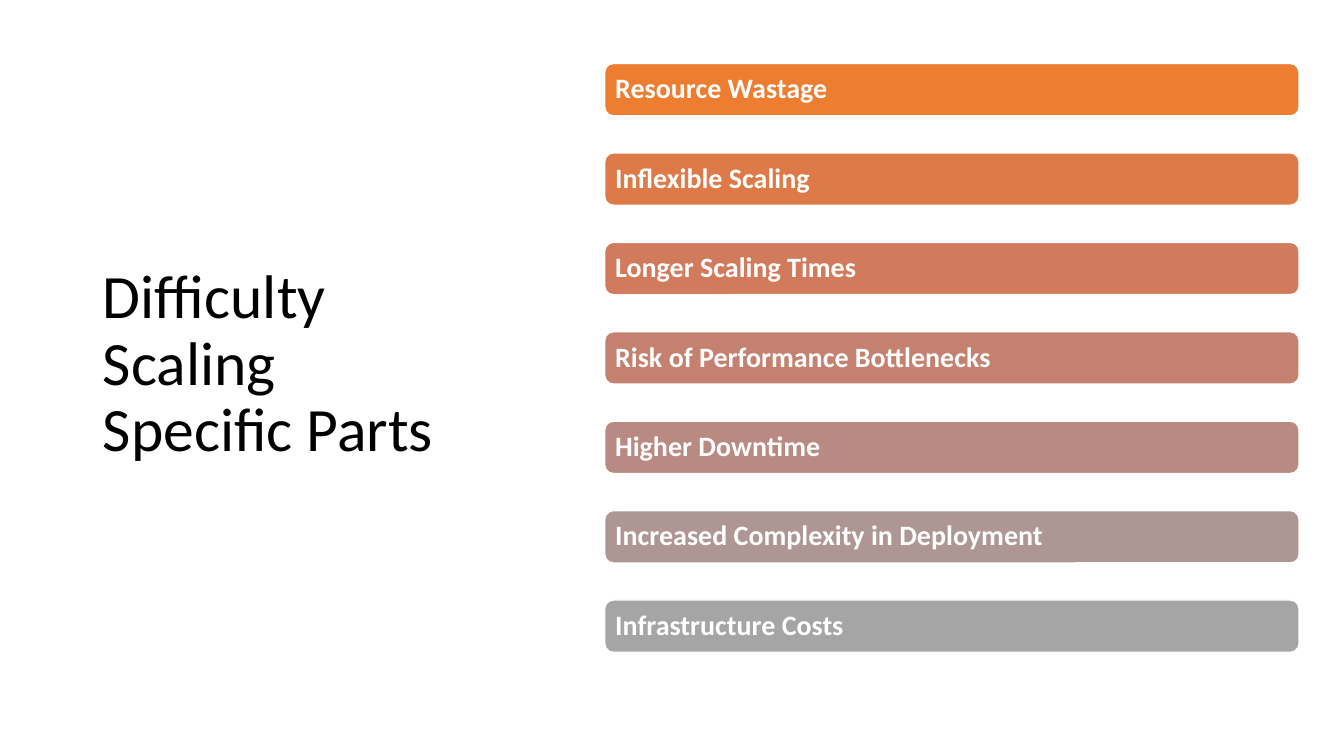
from pptx import Presentation
from pptx.dml.color import RGBColor
from pptx.enum.shapes import MSO_SHAPE
from pptx.enum.text import MSO_ANCHOR, PP_ALIGN
from pptx.util import Cm, Pt

BLACK = RGBColor(0x00, 0x00, 0x00)
WHITE = RGBColor(0xFF, 0xFF, 0xFF)
BARS = [
    ("Resource Wastage", RGBColor(0xED, 0x7D, 0x31)),
    ("Inflexible Scaling", RGBColor(0xDE, 0x7A, 0x47)),
    ("Longer Scaling Times", RGBColor(0xD1, 0x7B, 0x5C)),
    ("Risk of Performance Bottlenecks", RGBColor(0xC4, 0x81, 0x70)),
    ("Higher Downtime", RGBColor(0xB9, 0x8A, 0x82)),
    ("Increased Complexity in Deployment", RGBColor(0xAE, 0x96, 0x94)),
    ("Infrastructure Costs", RGBColor(0xA5, 0xA5, 0xA5)),
]


def set_text(frame, text, size, color, bold=False):
    frame.word_wrap = True
    frame.vertical_anchor = MSO_ANCHOR.MIDDLE
    para = frame.paragraphs[0]
    para.text = text
    para.alignment = PP_ALIGN.LEFT
    para.line_spacing = 0.9
    font = para.font
    font.name = "Calibri"
    font.size = Pt(size)
    font.bold = bold
    font.color.rgb = color


def add_title(slide, left, top, width, height):
    title = slide.shapes.title
    title.left, title.top = Cm(left), Cm(top)
    title.width, title.height = Cm(width), Cm(height)
    set_text(title.text_frame, "Difficulty Scaling Specific Parts", 44, BLACK)


def add_bars(slide, left, top, width, height, thick=1.32):
    """Spread the bars evenly from the top to the bottom of the box."""
    step = (height - thick) / (len(BARS) - 1)
    for i, (text, color) in enumerate(BARS):
        bar = slide.shapes.add_shape(
            MSO_SHAPE.ROUNDED_RECTANGLE,
            Cm(left), Cm(top + i * step), Cm(width), Cm(thick))
        bar.shadow.inherit = False
        bar.fill.solid()
        bar.fill.fore_color.rgb = color
        bar.line.color.rgb = WHITE
        bar.line.width = Pt(1)
        frame = bar.text_frame
        frame.margin_left = frame.margin_right = Cm(0.2)
        frame.margin_top = frame.margin_bottom = Cm(0.2)
        set_text(frame, text, 20, WHITE, bold=True)


def main():
    deck = Presentation()
    deck.slide_width, deck.slide_height = Cm(33.87), Cm(19.05)
    slide = deck.slides.add_slide(deck.slide_layouts[5])
    add_title(slide, 2.34, 3.33, 8.89, 11.76)
    add_bars(slide, 15.24, 1.6, 17.5, 14.84)
    deck.save("out.pptx")


if __name__ == "__main__":
    main()
